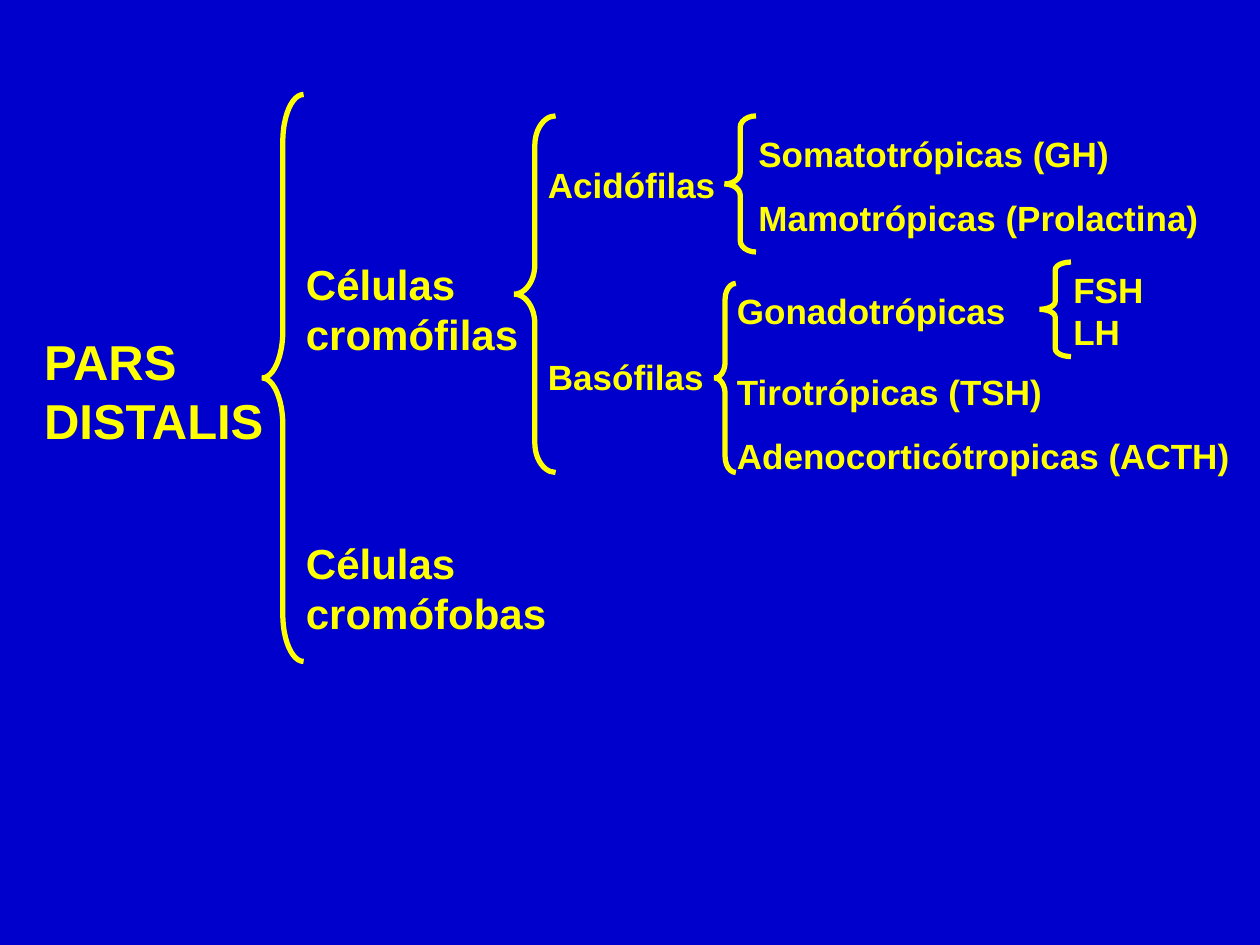
from dataclasses import dataclass

from lxml import etree
from pptx import Presentation
from pptx.dml.color import RGBColor
from pptx.enum.shapes import MSO_SHAPE
from pptx.enum.text import MSO_ANCHOR, MSO_AUTO_SIZE, PP_ALIGN
from pptx.oxml.ns import qn
from pptx.util import Inches, Pt

LEFT_BRACE = MSO_SHAPE.LEFT_BRACE
TOP = MSO_ANCHOR.TOP
NO_AUTOFIT = MSO_AUTO_SIZE.NONE
LEFT = PP_ALIGN.LEFT
TITLE_ONLY = 5


@dataclass(frozen=True)
class Theme:
    """Colours, font and sizes of the diagram."""
    background: RGBColor = RGBColor(0x00, 0x00, 0xCC)
    ink: RGBColor = RGBColor(0xFF, 0xFF, 0x00)
    font: str = "Arial"
    root: int = 28
    branch: int = 24
    leaf: int = 20
    line: int = 3


class BraceDiagram:
    """Draws labels and braces on one slide in one theme."""

    def __init__(self, slide, theme):
        self.slide = slide
        self.theme = theme
        fill = slide.background.fill
        fill.solid()
        fill.fore_color.rgb = theme.background

    def set_text(self, sp, lines, size, gap=0, spacing=None):
        """Fills a shape with left-aligned paragraphs, a gap before each but the first."""
        tf = sp.text_frame
        tf.word_wrap = True
        tf.auto_size = NO_AUTOFIT
        tf.vertical_anchor = TOP
        for i, line in enumerate(lines):
            p = tf.add_paragraph() if i else tf.paragraphs[0]
            p.text = line
            p.alignment = LEFT
            p.space_before = Pt(gap if i else 0)
            if spacing and line in spacing:
                p.line_spacing = spacing[line]
            p.font.name = self.theme.font
            p.font.size = Pt(size)
            p.font.bold = True
            p.font.color.rgb = self.theme.ink

    def title(self, box, text):
        """Places the root label in the title placeholder."""
        sp = self.slide.shapes.title
        sp.left, sp.top, sp.width, sp.height = map(Inches, box)
        self.set_text(sp, [text], self.theme.root)

    def labels(self, box, lines, size, gap=0, spacing=None):
        """Adds a text box of labels."""
        sp = self.slide.shapes.add_textbox(*map(Inches, box))
        self.set_text(sp, lines, size, gap, spacing)

    def brace(self, left, top, width, height):
        """Adds a left brace whose curves each take a twelfth of its height."""
        sp = self.slide.shapes.add_shape(
            LEFT_BRACE, *map(Inches, (left, top, width, height)))
        sp.adjustments[0] = height / 12 / min(width, height)
        sp.shadow.inherit = False
        sp.fill.background()
        sp.line.color.rgb = self.theme.ink
        sp.line.width = Pt(self.theme.line)
        ln = sp.element.spPr.find(qn("a:ln"))
        etree.SubElement(ln, qn("a:miter"), lim="800000")


def main():
    prs = Presentation()
    prs.slide_width, prs.slide_height = Inches(10), Inches(7.5)
    theme = Theme()
    s = BraceDiagram(prs.slides.add_slide(prs.slide_layouts[TITLE_ONLY]), theme)

    s.title((0.25, 2.58, 2.42, 1.04), "PARS DISTALIS")
    s.brace(2.08, 0.75, 0.33, 4.5)
    s.labels((2.33, 2, 2.5, 3.13), ["Células cromófilas", "Células cromófobas"],
             theme.branch, gap=102)
    s.brace(4.08, 0.92, 0.33, 2.83)
    s.labels((4.25, 1.25, 1.58, 1.96), ["Acidófilas", "Basófilas"],
             theme.leaf, gap=85.5)
    s.brace(5.75, 0.92, 0.25, 1.08)
    s.labels((5.92, 1, 3.92, 0.94),
             ["Somatotrópicas (GH)", "Mamotrópicas (Prolactina)"],
             theme.leaf, gap=12.5)
    s.brace(5.67, 2.25, 0.17, 1.5)
    s.labels((5.75, 2.25, 4.42, 1.58),
             ["Gonadotrópicas", "Tirotrópicas (TSH)", "Adenocorticótropicas (ACTH)"],
             theme.leaf, gap=12.5, spacing={"Tirotrópicas (TSH)": 1.4})
    s.brace(8.25, 2.08, 0.25, 0.75)
    s.labels((8.42, 2.08, 1.08, 0.77), ["FSH LH"], theme.leaf)

    prs.save("out.pptx")


if __name__ == "__main__":
    main()
